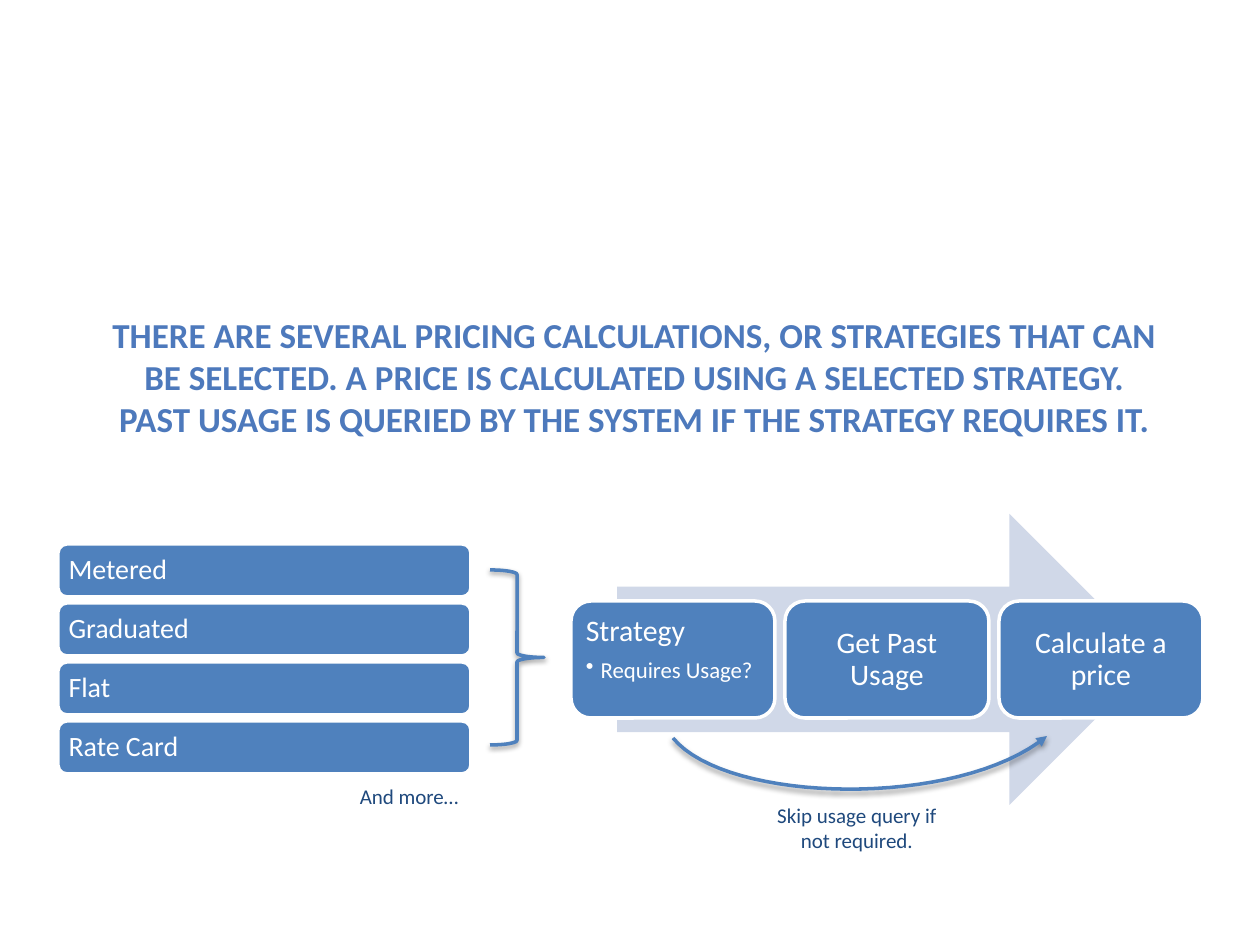
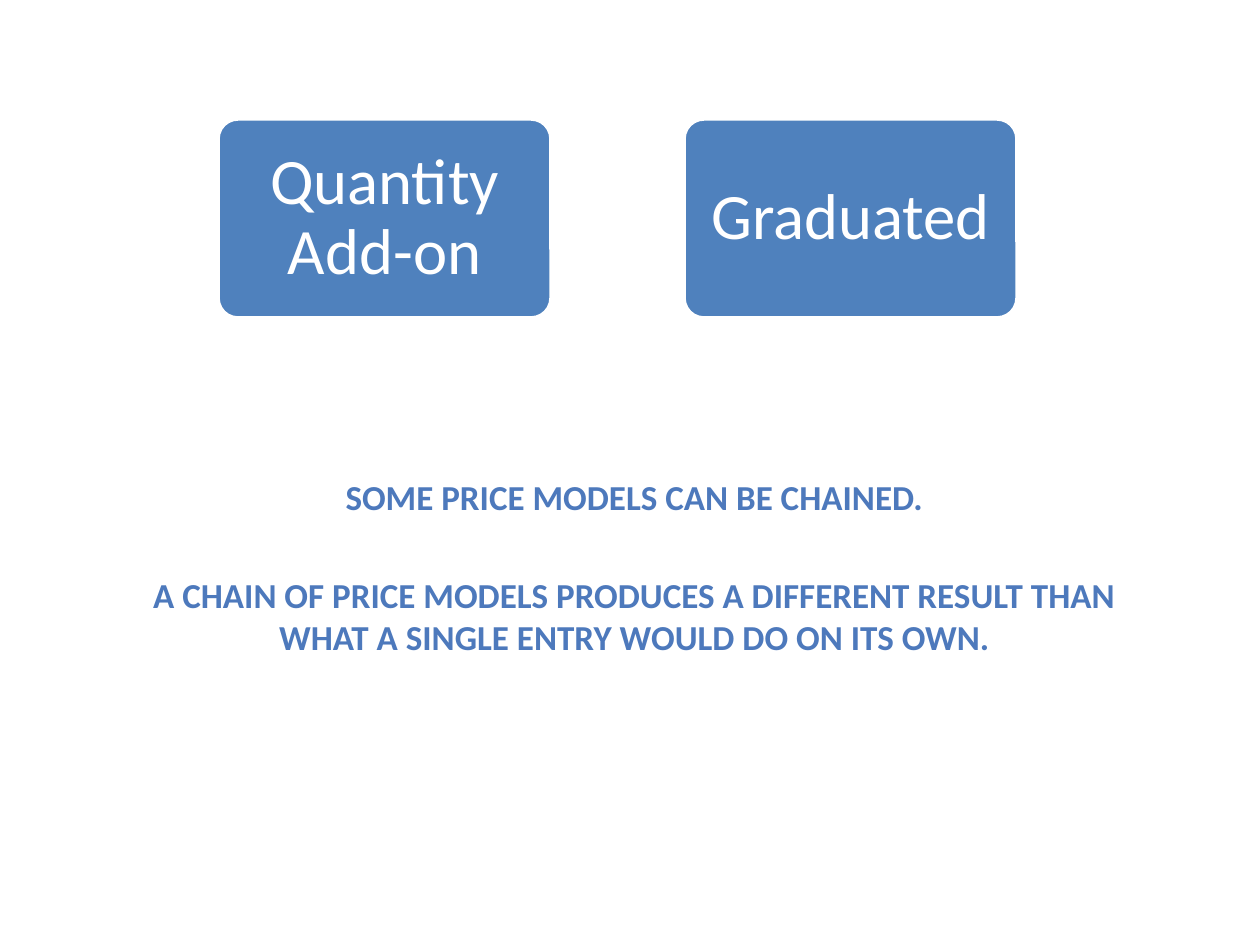
from lxml.etree import SubElement
from pptx import Presentation
from pptx.dml.color import RGBColor
from pptx.enum.shapes import MSO_SHAPE
from pptx.enum.text import MSO_ANCHOR, PP_ALIGN
from pptx.oxml.ns import qn
from pptx.util import Emu, Inches, Pt

PIXEL = Inches(10) / 1260
BLUE, PALE, NAVY, HEADING, WHITE = "4F81BD", "D0D8E8", "1F497D", "4D79BC", "FFFFFF"


def emus(*pixels):
    return [Emu(round(PIXEL * pixel)) for pixel in pixels]


def write(para, text, size=16, color=WHITE, bold=False, align=PP_ALIGN.CENTER, spacing=1.0, before=0):
    para.alignment = align
    para.line_spacing = spacing
    para.space_before = Pt(before)
    span = para.add_run()
    span.text = text
    span.font.name = "Calibri"
    span.font.size = Pt(size)
    span.font.bold = bold
    span.font.color.rgb = RGBColor.from_string(color)


deck = Presentation()
deck.slide_width, deck.slide_height = emus(1260, 945)

statements = [
    (307, 207, [
        "THERE ARE SEVERAL PRICING CALCULATIONS, OR STRATEGIES THAT CAN BE SELECTED. "
        "A PRICE IS CALCULATED USING A SELECTED STRATEGY. "
        "PAST USAGE IS QUERIED BY THE SYSTEM IF THE STRATEGY REQUIRES IT.",
    ]),
    (469, 210, [
        "SOME PRICE MODELS CAN BE CHAINED.",
        "A CHAIN OF PRICE MODELS PRODUCES A DIFFERENT RESULT THAN "
        "WHAT A SINGLE ENTRY WOULD DO ON ITS OWN.",
    ]),
]
pages = []
for top, height, lines in statements:
    page = deck.slides.add_slide(deck.slide_layouts[2])
    title = page.shapes.title.element
    title.getparent().remove(title)
    body = page.placeholders[1]
    body.left, body.top, body.width, body.height = emus(99, top, 1071, height)
    frame = body.text_frame
    frame.vertical_anchor = MSO_ANCHOR.TOP
    for index, line in enumerate(lines):
        para = frame.add_paragraph() if index else frame.paragraphs[0]
        write(para, line, size=20, color=HEADING, bold=True, before=32 if index else 4)
    pages.append(page)
strategy_page, chain_page = pages

arrow = strategy_page.shapes.add_shape(MSO_SHAPE.RIGHT_ARROW, *emus(617, 514, 538, 291))
arrow.shadow.inherit = False
arrow.fill.solid()
arrow.fill.fore_color.rgb = RGBColor.from_string(PALE)
arrow.line.fill.background()

cards = []
for index, name in enumerate(["Strategy", "Get Past Usage", "Calculate a price"]):
    align = PP_ALIGN.CENTER if index else PP_ALIGN.LEFT
    cards.append((strategy_page, name, (571 + 214 * index, 601, 204, 117), 17, 9, align, 0.17))
for index, name in enumerate(["Metered", "Graduated", "Flat", "Rate Card"]):
    cards.append((strategy_page, name, (58, 544 + 59 * index, 413, 53), 16, 8, PP_ALIGN.LEFT, 0.17))
for index, name in enumerate(["Quantity Add-on", "Graduated"]):
    cards.append((chain_page, name, (218 + 466 * index, 119, 333, 199), 37, 14, PP_ALIGN.CENTER, 0.1))

for page, name, place, size, inset, align, rounding in cards:
    card = page.shapes.add_shape(MSO_SHAPE.ROUNDED_RECTANGLE, *emus(*place))
    card.adjustments[0] = rounding
    card.shadow.inherit = False
    card.fill.solid()
    card.fill.fore_color.rgb = RGBColor.from_string(BLUE)
    card.line.color.rgb = RGBColor.from_string(WHITE)
    card.line.width = Pt(2)
    frame = card.text_frame
    frame.word_wrap = True
    frame.vertical_anchor = MSO_ANCHOR.MIDDLE
    frame.margin_left, frame.margin_right, frame.margin_top, frame.margin_bottom = emus(*[inset] * 4)
    write(frame.paragraphs[0], name, size=size, align=align, spacing=0.9)
    if name == "Strategy":
        frame.vertical_anchor = MSO_ANCHOR.TOP
        frame.margin_right = 0
        para = frame.add_paragraph()
        write(para, "Requires Usage?", size=13, align=align, spacing=0.9, before=6)
        indent = emus(15)[0]
        properties = para._p.get_or_add_pPr()
        properties.set("marL", str(indent))
        properties.set("indent", str(-indent))
        SubElement(properties, qn("a:buChar"), char="•")

brace = strategy_page.shapes.add_shape(MSO_SHAPE.RIGHT_BRACE, *emus(490, 570, 54, 175))

start, pull_start, pull_end, end = (673, 738), (727, 804), (959, 809), (1047, 736)
steps = 32
points = []
for step in range(steps + 1):
    t = step / steps
    weights = ((1 - t) ** 3, 3 * t * (1 - t) ** 2, 3 * t ** 2 * (1 - t), t ** 3)
    points.append(tuple(
        round(PIXEL * sum(weight * value for weight, value in zip(weights, axis)))
        for axis in zip(start, pull_start, pull_end, end)
    ))
builder = strategy_page.shapes.build_freeform(*points[0])
builder.add_line_segments(points[1:], close=False)
skip_arrow = builder.convert_to_shape()

for outline in (brace, skip_arrow):
    outline.fill.background()
    outline.line.color.rgb = RGBColor.from_string(BLUE)
    outline.line.width = Pt(2)
    outline.shadow.inherit = False
    effects = outline.element.spPr.find(qn("a:effectLst"))
    shadow = SubElement(effects, qn("a:outerShdw"), blurRad=str(Pt(3.1)), dist=str(Pt(1.6)),
                        dir="5400000", rotWithShape="0")
    shade = SubElement(shadow, qn("a:srgbClr"), val="000000")
    SubElement(shade, qn("a:alpha"), val="38000")
SubElement(skip_arrow.element.spPr.find(qn("a:ln")), qn("a:tailEnd"), type="triangle")

notes = [
    ((761, 796, 192, 63), ["Skip usage query if", "not required."], PP_ALIGN.CENTER),
    ((345, 777, 126, 38), ["And more…"], PP_ALIGN.RIGHT),
]
for place, lines, align in notes:
    box = strategy_page.shapes.add_textbox(*emus(*place))
    frame = box.text_frame
    frame.word_wrap = True
    for index, line in enumerate(lines):
        para = frame.add_paragraph() if index else frame.paragraphs[0]
        write(para, line, size=12, color=NAVY, align=align)

deck.save("out.pptx")
